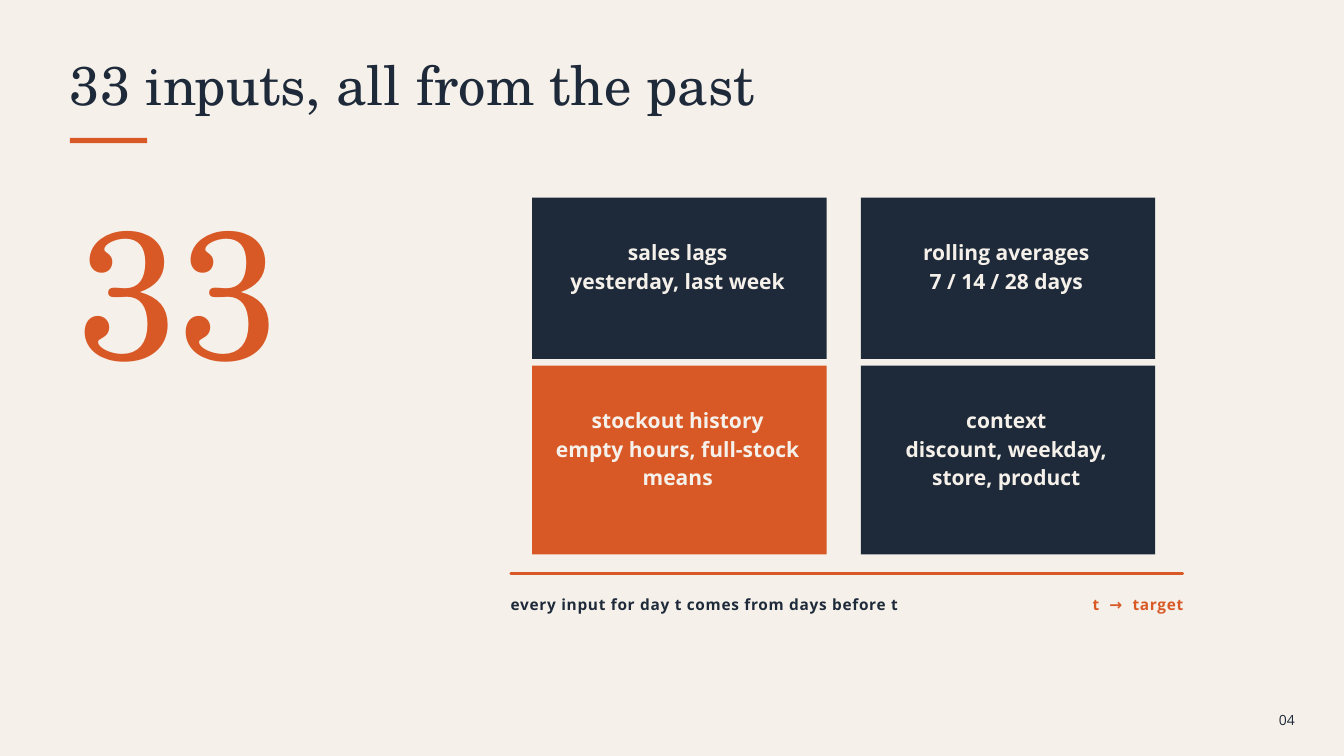
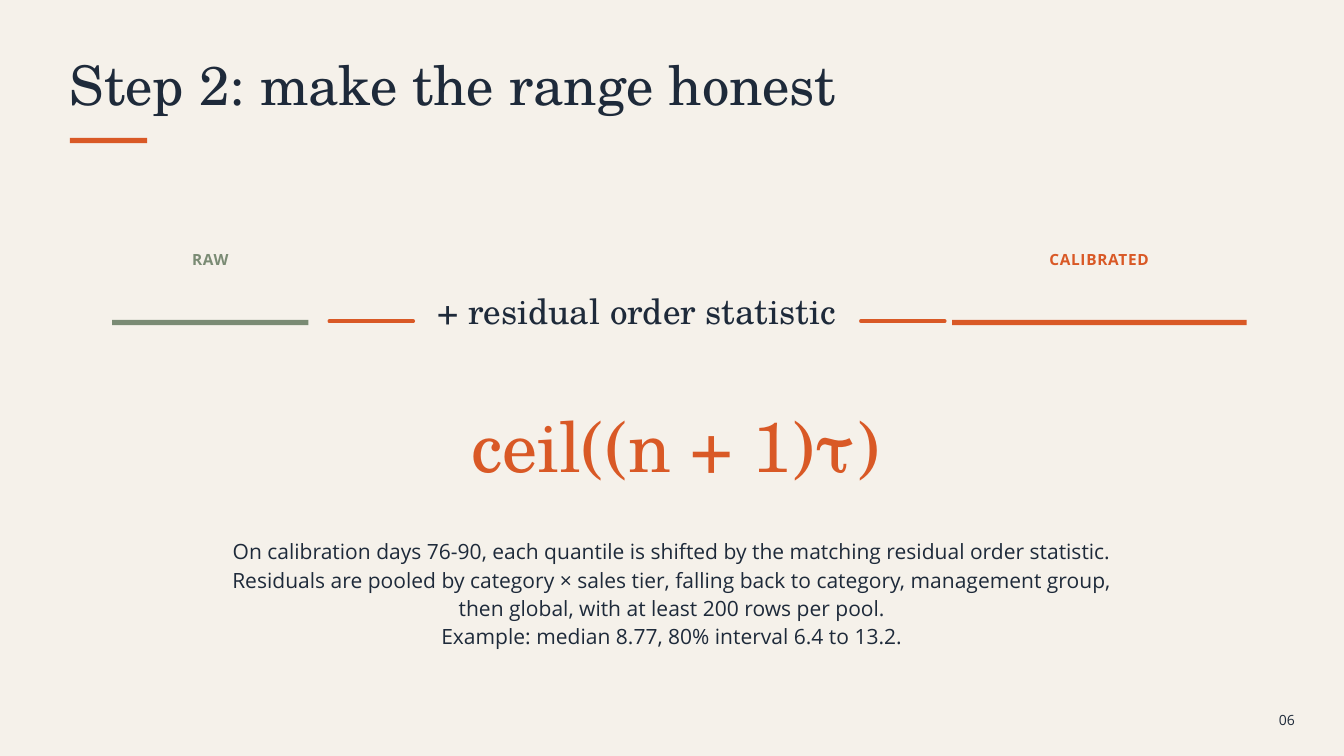
from lxml.etree import SubElement
from pptx import Presentation
from pptx.dml.color import RGBColor
from pptx.enum.shapes import MSO_CONNECTOR, MSO_SHAPE
from pptx.enum.text import MSO_ANCHOR, MSO_AUTO_SIZE, PP_ALIGN
from pptx.oxml.ns import qn
from pptx.util import Inches, Pt

COLORS = {
    "paper": "F5F1EA",
    "ink": "1E2A3A",
    "accent": "D95926",
    "sage": "7A8B74",
}
SERIF, SANS = "TeX Gyre Schola", "Open Sans"
LEFT, CENTER, RIGHT = PP_ALIGN.LEFT, PP_ALIGN.CENTER, PP_ALIGN.RIGHT

# Text styles: font, size, line spacing (points), bold, letter spacing (points)
STYLES = {
    "title": (SERIF, 58.5, 59.7, False, 0),
    "big number": (SERIF, 195, 191.1, False, 0),
    "formula": (SERIF, 75, 73.5, False, 0),
    "operation": (SERIF, 37.5, 38.2, False, 0),
    "card": (SANS, 22.5, 30.4, True, 0),
    "body": (SANS, 22.5, 30.4, False, 0),
    "label": (SANS, 16.5, 23.1, True, 0.8),
    "page number": (SANS, 15, 18.8, False, 0),
}
RULE_HEIGHT = 0.08


def rgb(color):
    return RGBColor.from_string(COLORS[color])


def write(shape, lines, style, color, align=LEFT, insets=(0, 0, 0, 0)):
    """Fill a shape with paragraphs; a line is a string or a list of (text, spacing) runs."""
    font, size, line_spacing, bold, spacing = STYLES[style]
    frame = shape.text_frame
    frame.word_wrap = True
    frame.auto_size = MSO_AUTO_SIZE.NONE
    frame.vertical_anchor = MSO_ANCHOR.TOP
    frame.margin_left, frame.margin_top, frame.margin_right, frame.margin_bottom = map(Inches, insets)
    for index, line in enumerate(lines):
        para = frame.add_paragraph() if index else frame.paragraphs[0]
        para.alignment = align
        para.line_spacing = Pt(line_spacing)
        para.space_before = para.space_after = Pt(0)
        runs = [(line, spacing)] if isinstance(line, str) else line
        for text, run_spacing in runs:
            span = para.add_run()
            span.text = text
            span.font.name = font
            span.font.size = Pt(size)
            span.font.bold = bold
            span.font.color.rgb = rgb(color)
            if run_spacing:
                span._r.get_or_add_rPr().set("spc", str(round(run_spacing * 100)))


def add_text(page, left, top, width, height, lines, style, color="ink", align=LEFT):
    box = page.shapes.add_textbox(Inches(left), Inches(top), Inches(width), Inches(height))
    write(box, lines, style, color, align)


def add_block(page, left, top, width, height, color):
    block = page.shapes.add_shape(
        MSO_SHAPE.RECTANGLE, Inches(left), Inches(top), Inches(width), Inches(height))
    block.shadow.inherit = False
    block.fill.solid()
    block.fill.fore_color.rgb = rgb(color)
    block.line.fill.background()
    return block


def add_line(page, left, right, height, weight):
    line = page.shapes.add_connector(
        MSO_CONNECTOR.STRAIGHT, Inches(left), Inches(height), Inches(right), Inches(height))
    line.line.color.rgb = rgb("accent")
    line.line.width = Pt(weight)
    line.line._get_or_add_ln().set("cap", "rnd")
    SubElement(line._element.spPr, qn("a:effectLst"))


def add_range(page, name, label_left, left, width, color):
    """A named interval: a label above a horizontal bar."""
    add_text(page, label_left, 3.68, width if label_left == left else 3.75, 0.31,
             [name], "label", color, CENTER)
    add_block(page, left, 4.76, width, RULE_HEIGHT, color)


def add_page(deck, title, number):
    """A slide with the shared title, accent rule and page number."""
    page = deck.slides.add_slide(deck.slide_layouts[5])
    heading = page.shapes.title
    heading.left, heading.top = Inches(1.04), Inches(0.9)
    heading.width, heading.height = Inches(13.75), Inches(0.86)
    write(heading, [title], "title", "ink")
    add_block(page, 1.04, 2.05, 1.15, RULE_HEIGHT, "accent")
    add_text(page, 18.54, 10.58, 0.73, 0.27, [number], "page number", align=RIGHT)
    return page


def build_inputs(deck):
    page = add_page(deck, "33 inputs, all from the past", "04")
    add_text(page, 1.15, 3.23, 5.21, 2.79, ["33"], "big number", "accent")

    # Input groups, two by two
    card_lefts = (7.92, 12.81)
    card_rows = [
        (2.94, 2.4, [
            (["sales lags", "yesterday, last week"], "ink"),
            (["rolling averages", "7 / 14 / 28 days"], "ink"),
        ]),
        (5.44, 2.81, [
            (["stockout history", "empty hours, full-stock means"], "accent"),
            (["context", "discount, weekday, store, product"], "ink"),
        ]),
    ]
    for top, height, cards in card_rows:
        for left, (lines, color) in zip(card_lefts, cards):
            card = add_block(page, left, top, 4.38, height, color)
            write(card, lines, "card", "paper", CENTER, insets=(0.29, 0.58, 0.34, 0))

    # Time axis: inputs before day t, target at day t
    add_line(page, 7.6, 17.6, 8.54, 3)
    add_text(page, 7.6, 8.81, 7.08, 0.31,
             ["every input for day t comes from days before t"], "label")
    wide_space = (" ", 5.9)
    target = [("t", 0.8), wide_space, ("→", 0.8), wide_space, ("target", 0.8)]
    add_text(page, 14.9, 8.81, 2.71, 0.31, [target], "label", "accent", RIGHT)


def build_calibration(deck):
    page = add_page(deck, "Step 2: make the range honest", "06")

    # Raw range, widened into the calibrated one
    add_range(page, "RAW", 1.67, 1.67, 2.92, "sage")
    add_text(page, 6.35, 4.41, 6.25, 0.56,
             ["+ residual order statistic"], "operation", align=CENTER)
    for left in (4.9, 12.81):
        add_line(page, left, left + 1.25, 4.78, 3.75)
    add_range(page, "CALIBRATED", 14.48, 14.17, 4.38, "accent")

    # Formula and explanation
    add_text(page, 5.89, 6.22, 8.33, 1.07, ["ceil((n + 1)τ)"], "formula", "accent", CENTER)
    add_text(page, 3.23, 7.97, 13.54, 1.67, [
        "On calibration days 76-90, each quantile is shifted by the matching residual order "
        "statistic. Residuals are pooled by category × sales tier, falling back to category, "
        "management group, then global, with at least 200 rows per pool.",
        "Example: median 8.77, 80% interval 6.4 to 13.2.",
    ], "body", align=CENTER)


def main():
    deck = Presentation()
    deck.slide_width, deck.slide_height = Inches(20), Inches(11.25)
    background = deck.slide_master.background.fill
    background.solid()
    background.fore_color.rgb = rgb("paper")
    build_inputs(deck)
    build_calibration(deck)
    deck.save("out.pptx")


if __name__ == "__main__":
    main()
